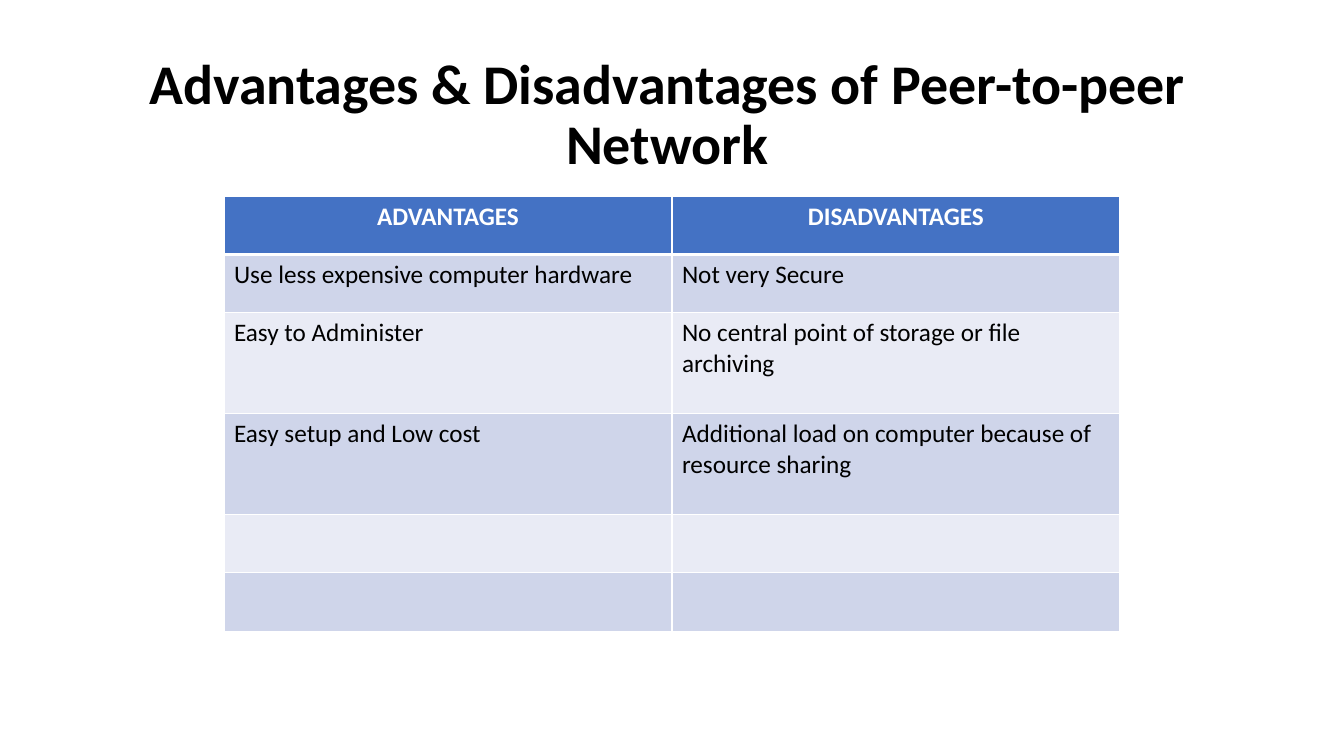
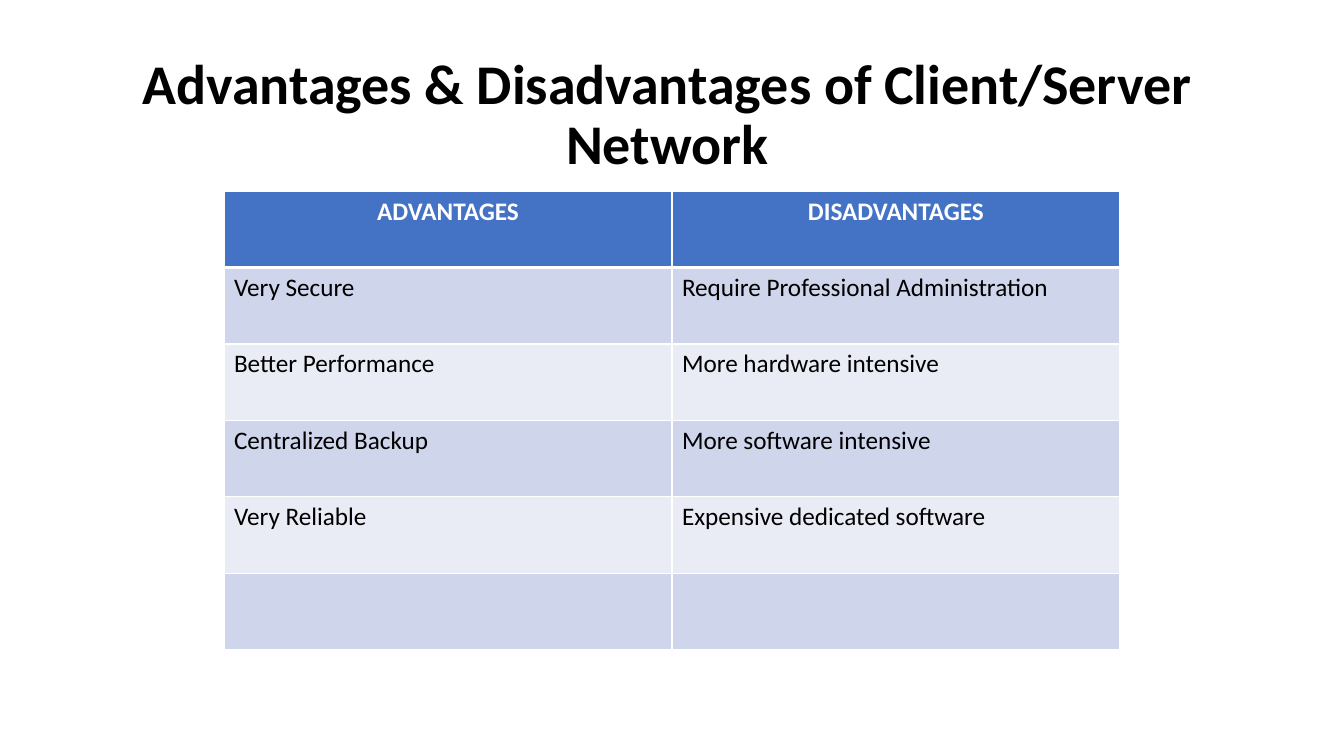
from dataclasses import dataclass

from lxml.etree import SubElement
from pptx import Presentation
from pptx.dml.color import RGBColor as RGB
from pptx.enum.text import MSO_ANCHOR as ANCHOR, MSO_AUTO_SIZE as AUTO, PP_ALIGN as ALIGN
from pptx.oxml.ns import qn
from pptx.util import Pt


@dataclass(frozen=True)
class Theme:
    font: str = "Calibri"
    title_size: int = 40
    table_size: int = 18
    text: str = "000000"
    white: str = "FFFFFF"
    header: str = "4472C4"
    bands: tuple = ("CFD5EA", "E9EBF5")
    thin: int = 1
    thick: int = 3


T = Theme()


def add_run(p, text, size, color, bold):
    r = p.add_run()
    r.text = text
    r.font.name = T.font
    r.font.size = Pt(size)
    r.font.bold = bold
    r.font.color.rgb = RGB.from_string(color)


def set_borders(cell, top, bottom):
    """Draw white cell borders; top and bottom are widths in points."""
    tcPr = cell._tc.get_or_add_tcPr()
    for side, width in (("L", T.thin), ("R", T.thin), ("T", top), ("B", bottom)):
        ln = SubElement(tcPr, qn(f"a:ln{side}"), w=str(Pt(width)))
        SubElement(SubElement(ln, qn("a:solidFill")), qn("a:srgbClr"), val=T.white)


HEADINGS = ("ADVANTAGES", "DISADVANTAGES")
TABLE_LEFT, COLUMN_WIDTH = 160, 320

# Each slide: network kind, table top, row heights, body rows
SLIDES = [
    ("Peer-to-peer", 140, [41.75, 41.75, 72, 72, 41.75, 41.75], [
        ("Use less expensive computer hardware", "Not very Secure"),
        ("Easy to Administer", "No central point of storage or file archiving"),
        ("Easy setup and Low cost", "Additional load on computer because of resource sharing"),
        ("", ""),
        ("", ""),
    ]),
    ("Client/Server", 136.5, [54.6] * 6, [
        ("Very Secure", "Require Professional Administration"),
        ("Better Performance", "More hardware intensive"),
        ("Centralized Backup", "More software intensive"),
        ("Very Reliable", "Expensive dedicated software"),
        ("", ""),
    ]),
]

prs = Presentation()
prs.slide_width, prs.slide_height = Pt(960), Pt(540)
title_only = prs.slide_layouts.get_by_name("Title Only")

for kind, top, heights, body in SLIDES:
    s = prs.slides.add_slide(title_only)

    title = s.shapes.title
    title.left, title.top, title.width, title.height = Pt(62.5), Pt(37.5), Pt(828), Pt(91.5)
    tf = title.text_frame
    tf.word_wrap = True
    tf.auto_size = AUTO.NONE
    tf.vertical_anchor = ANCHOR.MIDDLE
    p = tf.paragraphs[0]
    p.alignment = ALIGN.CENTER
    p.line_spacing = 0.9
    add_run(p, f"Advantages & Disadvantages of {kind} Network", T.title_size, T.text, True)

    rows = [HEADINGS, *body]
    columns = len(HEADINGS)
    table = s.shapes.add_table(len(rows), columns, Pt(TABLE_LEFT), Pt(top),
                               Pt(COLUMN_WIDTH * columns), Pt(sum(heights))).table
    for column in table.columns:
        column.width = Pt(COLUMN_WIDTH)

    for i, (texts, height) in enumerate(zip(rows, heights)):
        table.rows[i].height = Pt(height)
        is_header = i == 0
        fill = T.header if is_header else T.bands[(i - 1) % 2]
        for j, text in enumerate(texts):
            cell = table.cell(i, j)
            set_borders(cell, T.thick if i == 1 else T.thin, T.thick if is_header else T.thin)
            cell.fill.solid()
            cell.fill.fore_color.rgb = RGB.from_string(fill)
            p = cell.text_frame.paragraphs[0]
            p.alignment = ALIGN.CENTER if is_header else ALIGN.LEFT
            if text:
                add_run(p, text, T.table_size, T.white if is_header else T.text, is_header)

prs.save("out.pptx")
